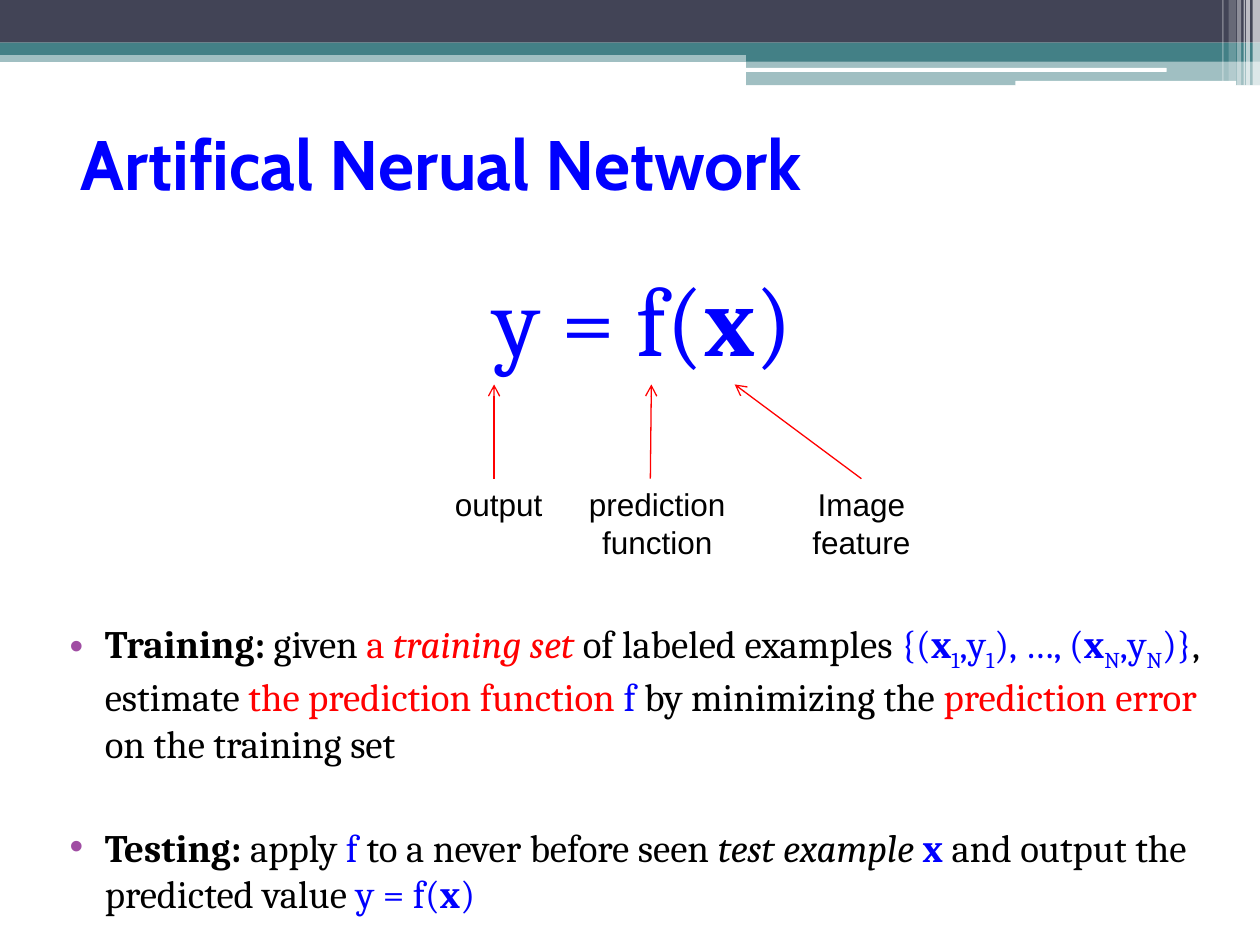
from dataclasses import dataclass
from typing import Optional

from lxml.etree import SubElement
from pptx import Presentation
from pptx.dml.color import RGBColor
from pptx.enum.shapes import MSO_CONNECTOR, MSO_SHAPE
from pptx.enum.text import MSO_ANCHOR, MSO_AUTO_SIZE, PP_ALIGN
from pptx.oxml.ns import qn
from pptx.util import Cm, Pt

COLORS = {
    "navy": "424456",
    "teal": "438086",
    "white": "FFFFFF",
    "blue": "0000FF",
    "red": "FF0000",
    "black": "000000",
    "purple": "A04DA3",
}


@dataclass
class Band:
    left: float
    top: float
    width: float
    height: float
    color: str
    opacity: int = 100
    rounded: bool = False


@dataclass
class Span:
    text: str
    color: str = "black"
    bold: bool = False
    italic: bool = False
    subscript: bool = False


@dataclass
class Label:
    text: str
    left: float
    width: float
    height: float
    arrow_start: float
    arrow_end: float
    wrap: bool = True
    joined: bool = False


@dataclass
class Entry:
    spans: list[Span]
    size: float
    space_before: float
    bullet: Optional[str] = None


LABEL_TOP = 9.65
ARROW_TOP = 7.75

BANDS = [
    Band(0, 1.02, 25.4, 0.23, "teal", 50),
    Band(0, 0, 25.4, 0.86, "navy"),
    Band(0, 0.86, 25.4, 0.25, "teal"),
    Band(15.04, 0.99, 10.36, 0.25, "teal"),
    Band(15.04, 1.22, 10.36, 0.5, "teal", 50),
    Band(15.01, 1.37, 8.51, 0.08, "white", rounded=True),
    Band(20.47, 1.63, 4.45, 0.1, "white", rounded=True),
    Band(25.25, 0, 0.15, 1.73, "white", 65),
    Band(25.12, 0, 0.08, 1.73, "white", 65),
    Band(25.07, 0, 0.03, 1.73, "white", 60),
    Band(24.94, 0, 0.08, 1.73, "white", 40),
    Band(24.77, 0, 0.15, 1.63, "white", 20),
    Band(24.64, 0, 0.03, 1.63, "white", 30),
]

LABELS = [
    Label("output", 8.92, 2.29, 1.02, 9.96, 9.96, wrap=False),
    Label("prediction function", 10.62, 5.26, 1.8, 13.11, 13.13),
    Label("Image feature", 15.27, 4.19, 1.8, 17.36, 14.81, joined=True),
]

FORMULA = [Span("y = f(", "blue"), Span("x", "blue", bold=True), Span(")", "blue")]


def sample(index: str) -> list[Span]:
    return [
        Span("x", "blue", bold=True),
        Span(index, "blue", subscript=True),
        Span(",y", "blue"),
        Span(index, "blue", subscript=True),
    ]


ENTRIES = [
    Entry(FORMULA, 55.5, 0),
    Entry(
        [
            Span("Training: ", bold=True),
            Span("given "),
            Span("a ", "red"),
            Span("training set ", "red", italic=True),
            Span("of labeled examples "),
            Span("{(", "blue"),
            *sample("1"),
            Span("), …, (", "blue"),
            *sample("N"),
            Span(")}", "blue"),
            Span(", estimate "),
            Span("the prediction function ", "red"),
            Span("f ", "blue"),
            Span("by minimizing the "),
            Span("prediction error ", "red"),
            Span("on the training set"),
        ],
        22.2, 139, "•",
    ),
    Entry(
        [
            Span("Testing:", bold=True),
            Span(" apply "),
            Span("f", "blue"),
            Span(" to a never before seen "),
            Span("test example ", italic=True),
            Span("x", "blue", bold=True),
            Span(" and output the predicted value "),
            *FORMULA,
        ],
        22.2, 32.7, "•",
    ),
]


def rgb(name: str) -> RGBColor:
    return RGBColor.from_string(COLORS[name])


def place(box, left: float, top: float, width: float, height: float) -> None:
    box.left, box.top, box.width, box.height = Cm(left), Cm(top), Cm(width), Cm(height)


def style(run, font_name: str, size: float, color: str, bold: bool = False) -> None:
    run.font.name = font_name
    run.font.size = Pt(size)
    run.font.bold = bold
    run.font.color.rgb = rgb(color)


def draw_band(page, band: Band) -> None:
    kind = MSO_SHAPE.ROUNDED_RECTANGLE if band.rounded else MSO_SHAPE.RECTANGLE
    box = page.shapes.add_shape(
        kind, Cm(band.left), Cm(band.top), Cm(band.width), Cm(band.height)
    )
    box.shadow.inherit = False
    box.line.fill.background()
    box.fill.solid()
    box.fill.fore_color.rgb = rgb(band.color)
    if band.opacity < 100:
        color = box._element.spPr.find(qn("a:solidFill"))[0]
        SubElement(color, qn("a:alpha"), val=str(band.opacity * 1000))


def write_title(page) -> None:
    title = page.shapes.title
    place(title, 1.37, 1.8, 22.86, 2.97)
    frame = title.text_frame
    frame.text = "Artifical Nerual Network"
    frame.vertical_anchor = MSO_ANCHOR.MIDDLE
    frame.paragraphs[0].alignment = PP_ALIGN.LEFT
    style(frame.paragraphs[0].runs[0], "Cabin", 40, "blue", True)


def write_entry(paragraph, entry: Entry) -> None:
    paragraph.alignment = PP_ALIGN.LEFT if entry.bullet else PP_ALIGN.CENTER
    paragraph.space_before = Pt(entry.space_before)
    properties = paragraph._p.get_or_add_pPr()
    properties.set("marL", str(Cm(1.02)))
    properties.set("indent", str(Cm(-0.71)))
    if entry.bullet:
        bullet_color = SubElement(properties, qn("a:buClr"))
        SubElement(bullet_color, qn("a:srgbClr"), val=COLORS["purple"])
        SubElement(properties, qn("a:buFont"), typeface="Arial")
        SubElement(properties, qn("a:buChar"), char=entry.bullet)
    else:
        SubElement(properties, qn("a:buNone"))
    for span in entry.spans:
        run = paragraph.add_run()
        run.text = span.text
        style(run, "Cambria", entry.size, span.color, span.bold)
        run.font.italic = span.italic
        if span.subscript:
            run._r.get_or_add_rPr().set("baseline", "-25000")


def write_body(page) -> None:
    body = page.placeholders[1]
    place(body, 0.84, 5.11, 23.93, 12.47)
    frame = body.text_frame
    frame.auto_size = MSO_AUTO_SIZE.NONE
    for number, entry in enumerate(ENTRIES):
        write_entry(frame.add_paragraph() if number else frame.paragraphs[0], entry)


def draw_label(page, label: Label) -> None:
    box = page.shapes.add_textbox(
        Cm(label.left), Cm(LABEL_TOP), Cm(label.width), Cm(label.height)
    )
    frame = box.text_frame
    frame.text = label.text
    frame.word_wrap = label.wrap
    frame.auto_size = MSO_AUTO_SIZE.SHAPE_TO_FIT_TEXT
    frame.paragraphs[0].alignment = PP_ALIGN.CENTER if label.wrap else PP_ALIGN.LEFT
    style(frame.paragraphs[0].runs[0], "Arial", 18, "black")

    arrow = page.shapes.add_connector(
        MSO_CONNECTOR.STRAIGHT,
        Cm(label.arrow_start), Cm(LABEL_TOP), Cm(label.arrow_end), Cm(ARROW_TOP),
    )
    if label.joined:
        arrow.begin_connect(box, 0)
    arrow.line.color.rgb = rgb("red")
    arrow.line.width = Pt(0.75)
    SubElement(arrow.line._get_or_add_ln(), qn("a:tailEnd"), type="arrow")
    SubElement(arrow._element.spPr, qn("a:effectLst"))


def main() -> None:
    deck = Presentation()
    deck.slide_width, deck.slide_height = Cm(25.4), Cm(19.05)
    page = deck.slides.add_slide(deck.slide_layouts[1])
    for band in BANDS:
        draw_band(page, band)
    write_title(page)
    write_body(page)
    for label in LABELS:
        draw_label(page, label)
    deck.save("out.pptx")


if __name__ == "__main__":
    main()
